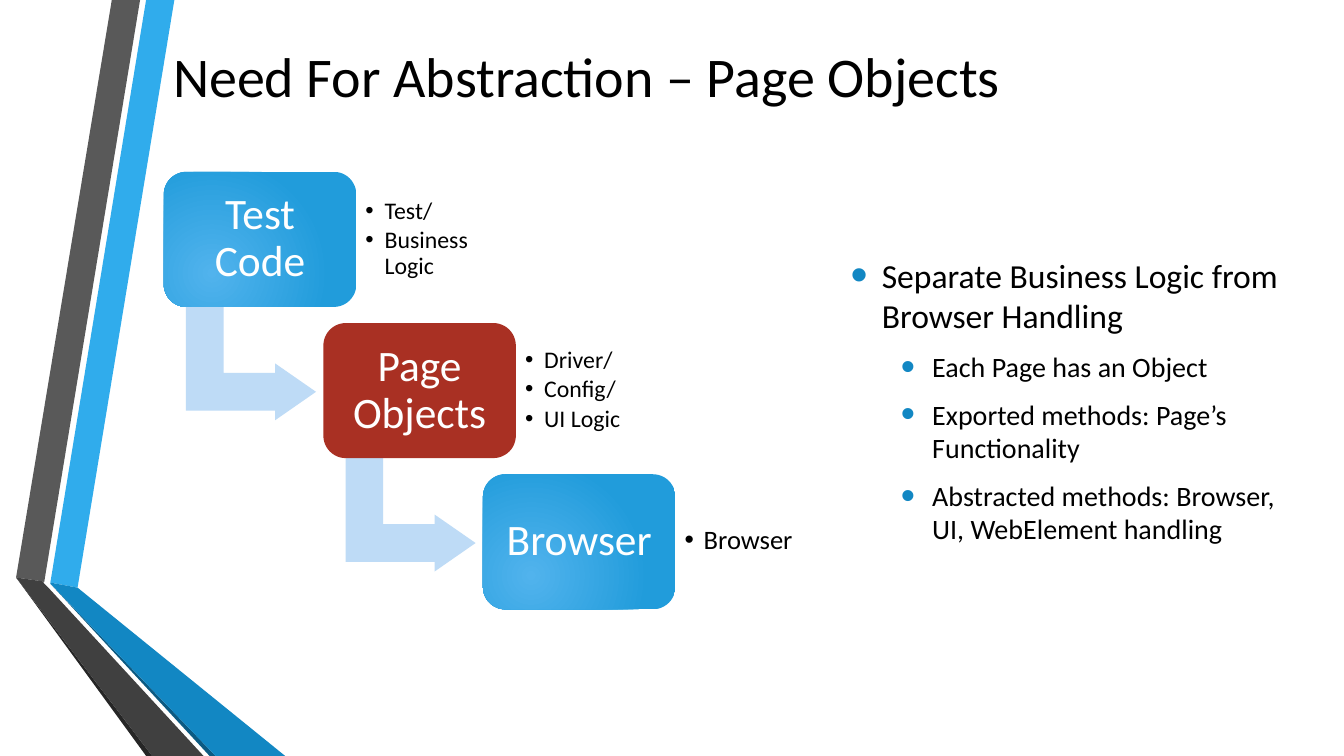
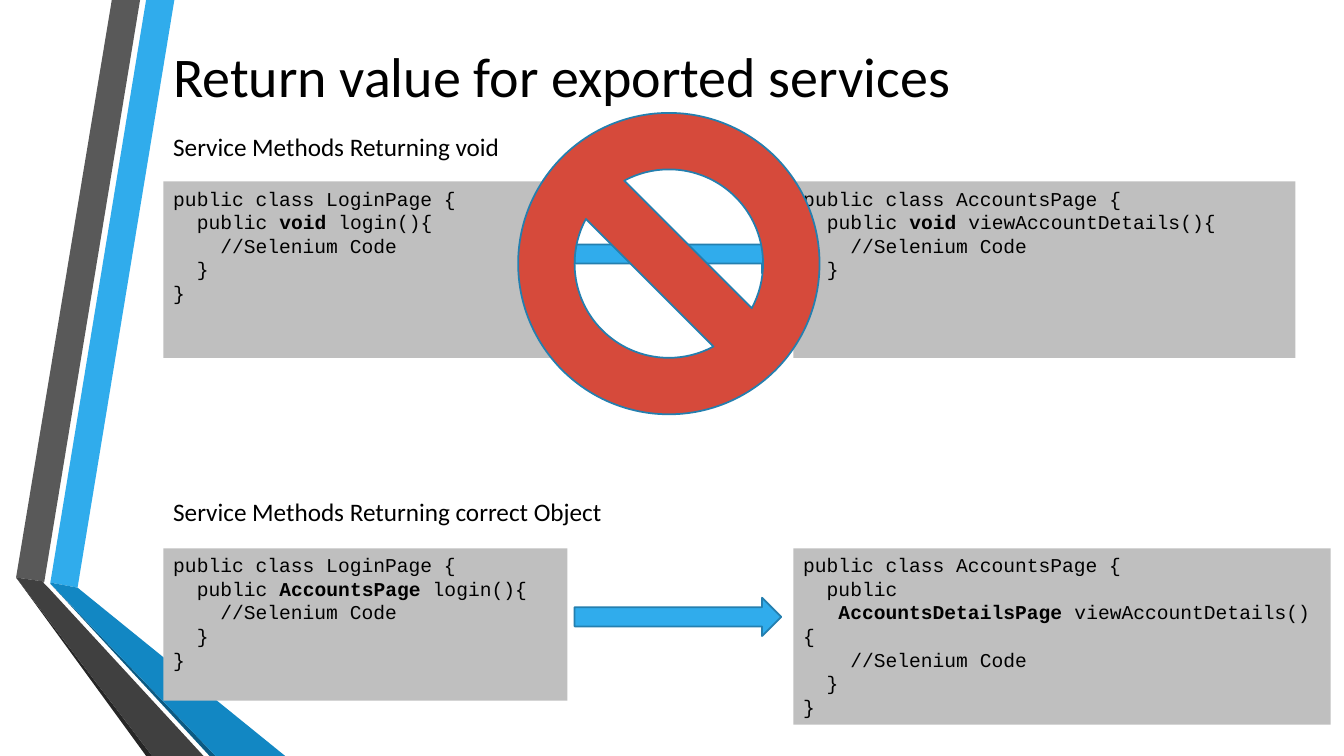
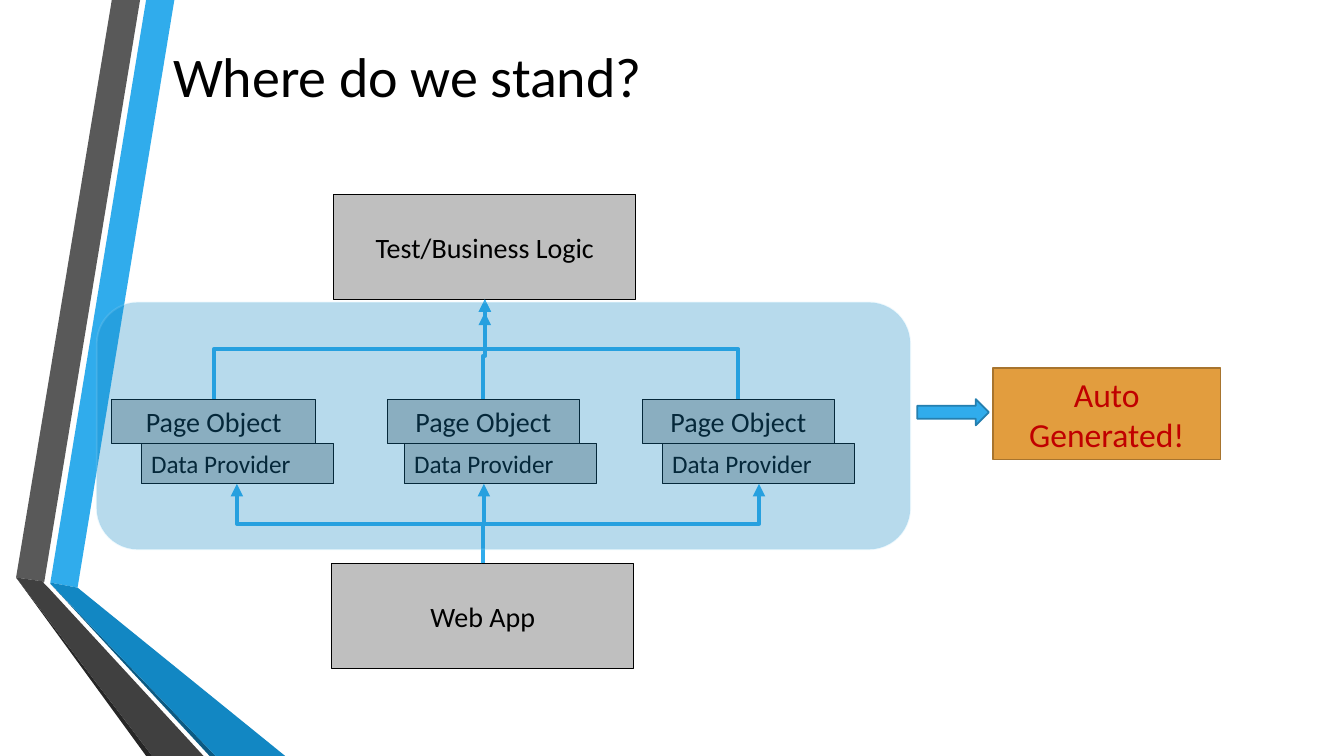
from dataclasses import dataclass
from typing import Optional

from lxml import etree
from pptx import Presentation
from pptx.dml.color import RGBColor
from pptx.enum.shapes import MSO_CONNECTOR, MSO_SHAPE
from pptx.enum.text import MSO_ANCHOR, PP_ALIGN
from pptx.oxml.ns import qn
from pptx.util import Emu, Inches, Pt

ROWS = 75
CELL = Inches(7.5) // ROWS  # the grid has square cells, 75 rows high
COLUMNS = 133.33

RECTANGLE = MSO_SHAPE.RECTANGLE
ROUNDED = MSO_SHAPE.ROUNDED_RECTANGLE
RIGHT_ARROW = MSO_SHAPE.RIGHT_ARROW
BENT_ARROW = MSO_SHAPE.BENT_UP_ARROW
NO_SYMBOL = MSO_SHAPE.NO_SYMBOL
ELBOW = MSO_CONNECTOR.ELBOW
TOP, MIDDLE = MSO_ANCHOR.TOP, MSO_ANCHOR.MIDDLE
LEFT, CENTER = PP_ALIGN.LEFT, PP_ALIGN.CENTER


@dataclass(frozen=True)
class Theme:
    font: str = "Calibri"
    code_font: str = "Courier New"
    title_size: int = 40
    step_size: int = 31
    point_size: int = 24
    box_size: int = 20
    label_size: int = 18
    code_size: int = 14
    text: str = "000000"
    light_text: str = "FFFFFF"
    alert_text: str = "C00000"
    accent: str = "30ACEC"
    accent_line: str = "247FAF"
    deep_accent: str = "1287C3"
    shaded_accent: str = "0C5A82"
    glow: str = "51B3ED"
    glow_edge: str = "219CDB"
    pale: str = "BEDBF6"
    pale_line: str = "ACDEF7"
    gray: str = "BFBFBF"
    mid_gray: str = "595959"
    dark_gray: str = "404040"
    shaded_gray: str = "262626"
    brick: str = "A93023"
    red: str = "D64A3B"
    orange: str = "E29D3E"
    orange_line: str = "A7742E"


THEME = Theme()


@dataclass(frozen=True)
class Box:
    """Left, top, width and height in grid cells."""
    left: float
    top: float
    width: float
    height: float

    def emu(self) -> list[Emu]:
        return [cells(v) for v in (self.left, self.top, self.width, self.height)]


@dataclass(frozen=True)
class Paint:
    fill: str
    line: Optional[str] = None
    line_width: float = 1.25
    fill_alpha: Optional[int] = None
    line_alpha: Optional[int] = None


@dataclass(frozen=True)
class Bullet:
    indent: float
    hanging: float
    color: Optional[str] = None
    percent: int = 100


@dataclass(frozen=True)
class Band:
    color: str
    points: tuple[tuple[float, float], ...]


@dataclass(frozen=True)
class Step:
    name: str
    notes: tuple[str, ...]
    note_size: int = 17
    color: Optional[str] = None


@dataclass(frozen=True)
class CodeBlock:
    """Code in which double asterisks switch bold on and off."""
    box: Box
    lines: tuple[str, ...]


@dataclass(frozen=True)
class PageColumn:
    page_left: float
    page_width: float
    provider_left: float
    provider_tip: float
    logic_tip: float


BANDS = (
    Band(THEME.accent, ((5, 57.8), (7.7, 58.3), (17.3, 0), (14.5, 0))),
    Band(THEME.mid_gray, ((13.9, 0), (11.1, 0), (1.6, 57.3), (4.4, 57.7))),
    Band(THEME.shaded_gray, ((1.6, 57.3), (14.5, 75), (15.1, 75))),
    Band(THEME.shaded_accent, ((5, 57.9), (20.8, 75), (21.4, 75))),
    Band(THEME.deep_accent, ((5, 57.9), (21.4, 75), (28.3, 75), (7.7, 58.3), (5, 57.8))),
    Band(THEME.dark_gray,
         ((20.2, 75), (4.8, 58.3), (4.3, 57.8), (4.4, 57.7), (1.6, 57.3), (15.1, 75))),
)
TITLE_BOX = Box(16.2, 2.3, 109.6, 10.3)
POINTS_BOX = Box(83.4, 7.8, 46, 63.8)
POINTS = (
    "Separate Business Logic from Browser Handling",
    "Each Page has an Object",
    "Exported methods: Page’s Functionality",
    "Abstracted methods: Browser, UI, WebElement handling",
)
STEPS = (
    Step("Test Code", ("Test/", "Business Logic")),
    Step("Page Objects", ("Driver/", "Config/", "UI Logic"), color=THEME.brick),
    Step("Browser", ("Browser",), note_size=19),
)
STEP_LEFT, STEP_TOP = 16.25, 17.05
STEP_ACROSS, STEP_DOWN = 15.83, 15

LOGIN, ACCOUNTS = "public class LoginPage {", "public class AccountsPage {"
CODE_END = ("    //Selenium Code", "  }", "}")
CODE_LEFT, CODE_RIGHT = 16.2, 78.7
CODE_BLOCKS = (
    CodeBlock(Box(CODE_LEFT, 18, 40.1, 17.5), (LOGIN, "  public **void** login(){", *CODE_END)),
    CodeBlock(Box(CODE_RIGHT, 18, 49.8, 17.5),
              (ACCOUNTS, "  public **void **viewAccountDetails(){", *CODE_END)),
    CodeBlock(Box(CODE_LEFT, 54.4, 40.1, 15.1),
              (LOGIN, "  public **AccountsPage **login(){", *CODE_END)),
    CodeBlock(Box(CODE_RIGHT, 54.4, 53.3, 17.5),
              (ACCOUNTS, "  public", "**   AccountsDetailsPage **viewAccountDetails(){", *CODE_END)),
)
CODE_LABELS = (
    (12.55, "Service Methods Returning void"),
    (48.75, "Service Methods Returning correct Object"),
)
PAGE_COLUMNS = (
    PageColumn(11.1, 20.2, 14, 23.5, 29.7),
    PageColumn(38.4, 19.1, 40.1, 48, 31),
    PageColumn(63.7, 19.1, 65.7, 75.3, 29.7),
)
LOGIC_X, WEB_X = 48.1, 47.9
PAGE_TOP, PROVIDER_TOP, PROVIDER_BOTTOM, WEB_TOP = 39.6, 44, 48, 55.9

ACCENT_ARROW = Paint(THEME.accent, THEME.accent_line)
GRAY_BOX = Paint(THEME.gray, THEME.text, 0.75)


def cells(count: float) -> Emu:
    return Emu(round(count * CELL))


def add_element(parent, tag: str, **attributes):
    element = etree.SubElement(parent, qn(tag))
    for name, value in attributes.items():
        element.set(name, str(value))
    return element


def set_alpha(color_parent, percent: Optional[int]) -> None:
    if percent is not None:
        color = color_parent.find(".//" + qn("a:srgbClr"))
        add_element(color, "a:alpha", val=percent * 1000)


def paint_shape(shape, paint: Paint) -> None:
    shape.shadow.inherit = False
    shape.fill.solid()
    shape.fill.fore_color.rgb = RGBColor.from_string(paint.fill)
    properties = shape.element.spPr
    set_alpha(properties.find(qn("a:solidFill")), paint.fill_alpha)
    if paint.line is None:
        shape.line.fill.background()
        return
    shape.line.color.rgb = RGBColor.from_string(paint.line)
    shape.line.width = Pt(paint.line_width)
    set_alpha(properties.find(qn("a:ln")), paint.line_alpha)


def paint_glow(shape) -> None:
    """Fill with a round gradient that starts at the lower edge."""
    shape.fill.gradient()
    for stop, color in zip(shape.fill.gradient_stops, (THEME.glow, THEME.glow_edge)):
        stop.color.rgb = RGBColor.from_string(color)
    gradient = shape.element.spPr.find(qn("a:gradFill"))
    gradient.remove(gradient.find(qn("a:lin")))
    path = add_element(gradient, "a:path")
    path.set("path", "circle")
    add_element(path, "a:fillToRect", l=50000, t=100000, r=100000, b=50000)


def add_box(slide, kind, box: Box, paint: Paint):
    shape = slide.shapes.add_shape(kind, *box.emu())
    paint_shape(shape, paint)
    return shape


def add_text_box(slide, box: Box):
    return slide.shapes.add_textbox(*box.emu())


def set_bullet(paragraph, bullet: Bullet) -> None:
    properties = paragraph._p.get_or_add_pPr()
    properties.set("marL", str(cells(bullet.indent)))
    properties.set("indent", str(-cells(bullet.hanging)))
    if bullet.color:
        color = add_element(properties, "a:buClr")
        add_element(color, "a:srgbClr", val=bullet.color)
    add_element(properties, "a:buSzPct", val=bullet.percent * 1000)
    add_element(properties, "a:buFont", typeface="Arial")
    add_element(properties, "a:buChar", char="•")


def prepare_frame(shape, anchor=MIDDLE, inset: Optional[float] = None):
    frame = shape.text_frame
    frame.word_wrap = True
    frame.vertical_anchor = anchor
    if inset is not None:
        frame.margin_left = frame.margin_right = cells(inset)
        frame.margin_top = frame.margin_bottom = cells(inset)
    return frame


def write_paragraph(frame, text: str, *, size: float, color: str = THEME.text,
                    font: str = THEME.font, align=LEFT, bullet: Optional[Bullet] = None,
                    line_spacing: Optional[float] = None, before: float = 0,
                    after: float = 0) -> None:
    """Fill the first paragraph if it is empty, otherwise add one."""
    first = frame.paragraphs[0]
    paragraph = frame.add_paragraph() if first.runs else first
    if bullet:
        set_bullet(paragraph, bullet)
    paragraph.alignment = align
    paragraph.line_spacing = line_spacing
    if paragraph is not first:
        paragraph.space_before = Pt(before)
    paragraph.space_after = Pt(after)
    for index, part in enumerate(text.split("**")):
        if part:
            run = paragraph.add_run()
            run.text = part
            run.font.name = font
            run.font.size = Pt(size)
            run.font.bold = index % 2 == 1
            run.font.color.rgb = RGBColor.from_string(color)


def add_riser(slide, start: tuple[float, float], end: tuple[float, float]) -> None:
    """Draw an elbow arrow that leaves upwards, crosses over and goes on up."""
    across, rise = end[0] - start[0], start[1] - end[1]
    middle_x, middle_y = (start[0] + end[0]) / 2, (start[1] + end[1]) / 2
    turn = 1 if across > 0 else -1
    half_width, half_height = turn * rise / 2, abs(across) / 2
    connector = slide.shapes.add_connector(
        ELBOW, cells(middle_x + half_width), cells(middle_y + half_height),
        cells(middle_x - half_width), cells(middle_y - half_height))
    connector.line.color.rgb = RGBColor.from_string(THEME.accent)
    connector.line.width = Pt(3)
    properties = connector.element.spPr
    rotation = 90 if turn > 0 else 270
    properties.find(qn("a:xfrm")).set("rot", str(rotation * 60000))
    add_element(properties.find(qn("a:ln")), "a:tailEnd", type="triangle")
    add_element(properties, "a:effectLst")


def add_slide(presentation, title: str):
    """Start a slide with the shared bands and title."""
    slide = presentation.slides.add_slide(presentation.slide_layouts[6])
    for band in BANDS:
        start, *others = [(cells(x), cells(y)) for x, y in band.points]
        builder = slide.shapes.build_freeform(*start)
        builder.add_line_segments(others, close=True)
        paint_shape(builder.convert_to_shape(), Paint(band.color))
    frame = prepare_frame(add_text_box(slide, TITLE_BOX))
    write_paragraph(frame, title, size=THEME.title_size)
    return slide


def add_step(slide, step: Step, index: int) -> None:
    left, top = STEP_LEFT + index * STEP_ACROSS, STEP_TOP + index * STEP_DOWN
    if index < len(STEPS) - 1:
        arrow = add_box(slide, BENT_ARROW, Box(left + 3, top + 12.55, 11.3, 12.9),
                        Paint(THEME.pale))
        arrow.rotation = 90
        for number, value in enumerate((0.33, 0.25, 0.36)):
            arrow.adjustments[number] = value
    shape = add_box(slide, ROUNDED, Box(left, top, 19.1, 13.4), Paint(step.color or THEME.glow))
    if step.color is None:
        paint_glow(shape)
    write_paragraph(prepare_frame(shape, inset=1.2), step.name, size=THEME.step_size,
                    color=THEME.light_text, align=CENTER, line_spacing=0.9)
    notes = add_text_box(slide, Box(left + 19.1, top + 1.25, 13.9, 10.8))
    frame = prepare_frame(notes, inset=0.9)
    for note in step.notes:
        write_paragraph(frame, note, size=step.note_size, bullet=Bullet(1.9, 1.9),
                        line_spacing=0.9, after=2.5)


def build_abstraction(presentation) -> None:
    slide = add_slide(presentation, "Need For Abstraction – Page Objects")
    frame = prepare_frame(add_text_box(slide, POINTS_BOX))
    for index, point in enumerate(POINTS):
        size = THEME.box_size if index else THEME.point_size
        bullet = Bullet(8.1 if index else 3.1, 3.1, THEME.deep_accent, 145)
        write_paragraph(frame, point, size=size, bullet=bullet, before=size * 0.2, after=6)
    for index, step in enumerate(STEPS):
        add_step(slide, step, index)


def build_return_values(presentation) -> None:
    slide = add_slide(presentation, "Return value for exported services")
    for block in CODE_BLOCKS:
        shape = add_box(slide, RECTANGLE, block.box, Paint(THEME.gray))
        frame = prepare_frame(shape, TOP)
        for line in block.lines:
            write_paragraph(frame, line, size=THEME.code_size, font=THEME.code_font)
    for top in (23.3, 59.3):
        add_box(slide, RIGHT_ARROW, Box(57, top, 20.5, 3.8), ACCENT_ARROW)
    for top, label in CODE_LABELS:
        frame = prepare_frame(add_text_box(slide, Box(CODE_LEFT, top, 50, 4)), TOP)
        write_paragraph(frame, label, size=THEME.label_size)
    add_box(slide, NO_SYMBOL, Box(51.4, 11.2, 29.9, 29.9), Paint(THEME.red, THEME.accent_line))


def add_labelled_box(slide, box: Box, text: str, *, paint: Paint = GRAY_BOX,
                     size: float = THEME.box_size, color: str = THEME.text,
                     align=CENTER) -> None:
    frame = prepare_frame(add_box(slide, RECTANGLE, box, paint))
    write_paragraph(frame, text, size=size, color=color, align=align)


def build_overview(presentation) -> None:
    slide = add_slide(presentation, "Where do we stand?")
    add_labelled_box(slide, Box(32.9, WEB_TOP, 30, 10.4), "Web App")
    add_labelled_box(slide, Box(33.1, 19.3, 30, 10.4), "Test/Business Logic")
    for column in PAGE_COLUMNS:
        add_labelled_box(slide, Box(column.page_left, PAGE_TOP, column.page_width, 4.4),
                         "Page Object")
        add_labelled_box(slide, Box(column.provider_left, PROVIDER_TOP, 19.1, 4),
                         "Data Provider", size=THEME.label_size, align=LEFT)
    for column in PAGE_COLUMNS:
        page_center = column.page_left + column.page_width / 2
        add_riser(slide, (page_center, PAGE_TOP), (LOGIC_X, column.logic_tip))
        add_riser(slide, (WEB_X, WEB_TOP), (column.provider_tip, PROVIDER_BOTTOM))
    add_box(slide, ROUNDED, Box(9.6, 30, 80.7, 24.5),
            Paint(THEME.deep_accent, THEME.pale_line, fill_alpha=30, line_alpha=20))
    add_labelled_box(slide, Box(98.5, 36.5, 22.6, 9.1), "Auto Generated!",
                     paint=Paint(THEME.orange, THEME.orange_line),
                     size=THEME.point_size, color=THEME.alert_text)
    add_box(slide, RIGHT_ARROW, Box(91, 39.6, 7.1, 2.6), ACCENT_ARROW)


def main() -> None:
    presentation = Presentation()
    presentation.slide_width, presentation.slide_height = cells(COLUMNS), cells(ROWS)
    build_abstraction(presentation)
    build_return_values(presentation)
    build_overview(presentation)
    presentation.save("out.pptx")


if __name__ == "__main__":
    main()
